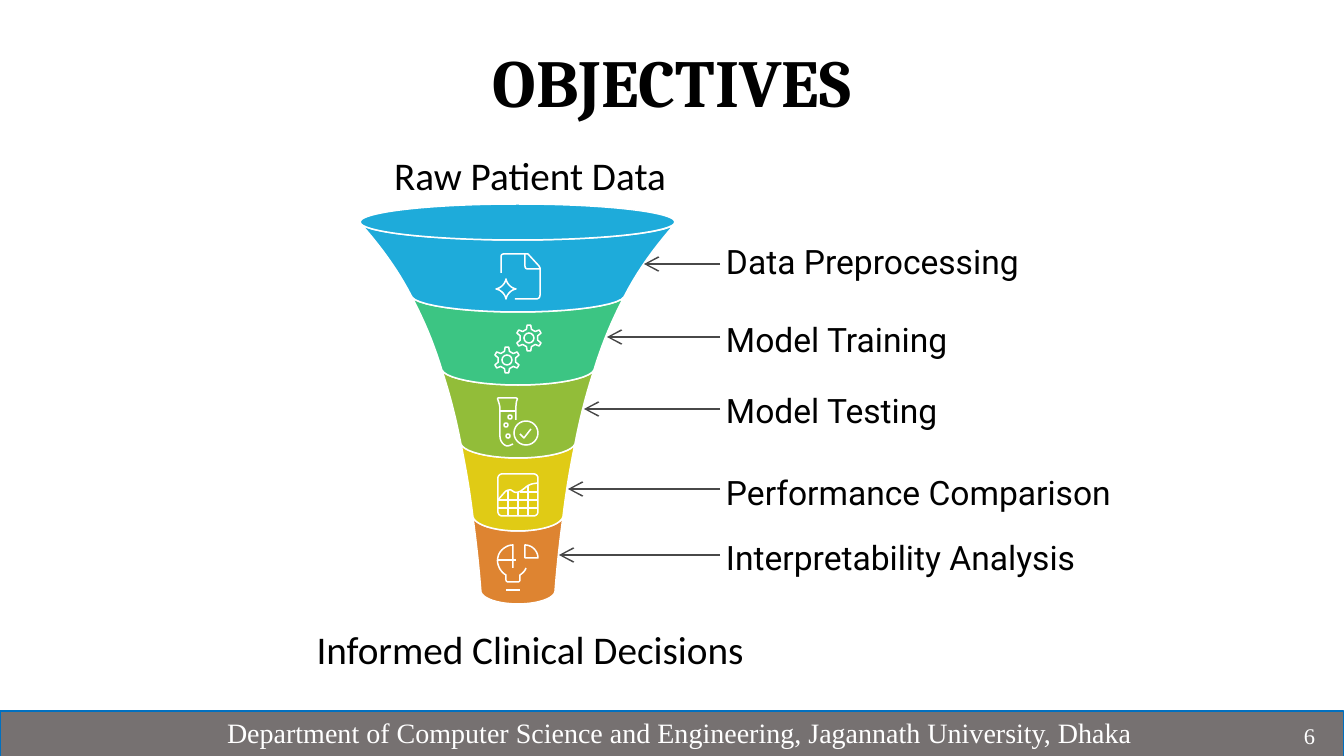
import math
from lxml import etree
from pptx import Presentation, util as u
from pptx.dml.color import RGBColor
from pptx.enum import shapes, text
from pptx.oxml import ns

PX = 9071  # EMU per px
WHITE, BLACK, ARROW, GREY, BORDER = "FFFFFF", "000000", "484848", "767171", "0070C0"

deck = Presentation()
deck.slide_width, deck.slide_height = 1344 * PX, 756 * PX
slide = deck.slides.add_slide(deck.slide_layouts[6])
canvas = slide.shapes


def paint(shape, fill=None, line=None, width=1.08):
    shape.shadow.inherit = False
    for part, color in ((shape.fill, fill), (shape.line.fill, line)):
        if color:
            part.solid()
            part.fore_color.rgb = RGBColor.from_string(color)
        else:
            part.background()
    if line:
        shape.line.width = u.Pt(width)


def trace(strokes, steps=10):
    """Strokes hold points (x, y) and cubic curves (x1, y1, x2, y2, x, y)."""
    builder = None
    for start, *segments in strokes:
        x, y = start
        if builder is None:
            builder = canvas.build_freeform(x * PX, y * PX)
        else:
            builder.move_to(x * PX, y * PX)
        points = []
        for segment in segments:
            if len(segment) == 6:
                x1, y1, x2, y2, x3, y3 = segment
                for step in range(1, steps + 1):
                    t = step / steps
                    a, b, c, d = (1 - t) ** 3, 3 * t * (1 - t) ** 2, 3 * t * t * (1 - t), t ** 3
                    points.append(((a * x + b * x1 + c * x2 + d * x3) * PX,
                                   (a * y + b * y1 + c * y2 + d * y3) * PX))
            else:
                points.append((segment[0] * PX, segment[1] * PX))
            x, y = segment[-2:]
        builder.add_line_segments(points, close=False)
    return builder.convert_to_shape()


# Funnel rings, from the bottom up; each rim is y, half width, depth
AXIS = 518
rims = [(224, 157, 16), (297, 106, 15), (370, 76, 15), (444, 57, 14), (517, 45, 14), (592, 37, 12)]
ring_colors = ["1EABDA", "3CC583", "92BD39", "E0CB15", "DE8431"]
for color, (top, wide, dip), (low, narrow, sag) in reversed(list(zip(ring_colors, rims, rims[1:]))):
    taper, height = wide - narrow, low - top
    right = [(0, top + dip), (.53 * wide, top + dip), (.95 * wide, top + .55 * dip), (wide, top),
             (wide - .38 * taper, top + .3 * height), (wide - .72 * taper, top + .62 * height),
             (narrow, low), (.95 * narrow, low + .55 * sag), (.53 * narrow, low + sag), (0, low + sag)]
    left = [(-x, y) for x, y in right[-2::-1]]
    outline = [(AXIS + x, y) for x, y in right + left]
    curves = [sum(outline[i:i + 3], ()) for i in range(1, len(outline), 3)]
    paint(trace([[outline[0], *curves]]), color, WHITE)
mouth = canvas.add_shape(shapes.MSO_SHAPE.OVAL, 360 * PX, 204 * PX, 315 * PX, 36 * PX)
paint(mouth, ring_colors[0], WHITE)

# Icons
document = [
    [(496, 289), (501, 288, 505, 284, 506, 279), (507, 284, 511, 288, 516, 289),
     (511, 290, 507, 294, 506, 299), (505, 294, 501, 290, 496, 289)],
    [(501, 273), (501, 257), (501, 255, 502, 254, 504, 254), (525, 254), (528, 254), (539, 266),
     (540, 268), (540, 295), (540, 298, 538, 299, 536, 299), (515, 299)],
    [(525, 254), (525, 266), (525, 268, 526, 269, 528, 269), (540, 269)],
]
gear_centers = [(507, 360), (529, 338)]
gears = []
for x, y in gear_centers:
    teeth = [(x + r * math.sin(math.radians(turn + offset)), y - r * math.cos(math.radians(turn + offset)))
             for turn in range(0, 360, 60)
             for r, offset in ((9, -16), (13, -8), (13, 8), (9, 16))]
    gears.append(teeth + teeth[:1])
test_tube = [
    [(520, 434), (524, 438), (531, 429)],
    [(513, 444), (511, 445, 509, 446, 507, 446), (503, 445, 500, 441, 500, 436), (500, 409),
     (500, 406, 499, 403, 498, 400), (497, 398, 498, 398, 499, 398), (516, 398),
     (517, 398, 518, 399, 517, 400), (516, 403, 516, 406, 516, 409), (516, 420)],
    [(516, 411), (500, 411)],
]
graph = [
    [(502, 474), (534, 474), (536, 474, 538, 476, 538, 478), (538, 512), (538, 514, 536, 516, 534, 516),
     (502, 516), (500, 516, 498, 514, 498, 512), (498, 478), (498, 476, 500, 474, 502, 474)],
    [(538, 483), (532, 484), (529, 485, 527, 486, 525, 488), (521, 491), (519, 492, 516, 493, 514, 492),
     (511, 490), (509, 490, 507, 490, 505, 492), (498, 500)],
    *[[(x, 516), (x, y)] for x, y in ((508, 490), (518, 492), (528, 486))],
    *[[(538, y), (x, y)] for x, y in ((520, 492), (498, 500), (498, 508))],
]
bulb = [
    [(506, 590), (520, 590)],
    [(526, 568), (525, 571, 523, 573, 520, 575), (520, 580), (520, 581, 519, 582, 518, 582), (508, 582),
     (507, 582, 506, 581, 506, 580), (506, 575), (500, 572, 496, 563, 498, 557),
     (499, 551, 506, 545, 513, 545), (513, 568)],
    [(525, 558), (525, 545), (532, 545, 538, 551, 538, 558), (525, 558)],
    [(516, 560), (497, 560)],
]
for icon in (document, gears, test_tube, graph, bulb):
    paint(trace(icon), line=WHITE)

# Gear hubs, check badge and bubbles
hubs = [(x, y, 5) for x, y in gear_centers]
for x, y, r in hubs + [(526, 433, 12), (506, 425, 2), (510, 417, 2), (508, 436, 2)]:
    circle = canvas.add_shape(shapes.MSO_SHAPE.OVAL, (x - r) * PX, (y - r) * PX, 2 * r * PX, 2 * r * PX)
    paint(circle, line=WHITE)

# Arrows to the rings
for tip, y in ((644, 264), (607, 337), (584, 409), (568, 489), (559, 555)):
    arrow = canvas.add_connector(shapes.MSO_CONNECTOR.STRAIGHT, 720 * PX, y * PX, tip * PX, y * PX)
    arrow.line.color.rgb = RGBColor.from_string(ARROW)
    arrow.line.width = u.Pt(1.08)
    properties = arrow._element.spPr
    etree.SubElement(properties.find(ns.qn("a:ln")), ns.qn("a:tailEnd"), type="arrow", w="lg", len="lg")
    etree.SubElement(properties, ns.qn("a:effectLst"))

# Title, step labels, and what goes in and comes out
LEFT, CENTER, RIGHT = text.PP_ALIGN.LEFT, text.PP_ALIGN.CENTER, text.PP_ALIGN.RIGHT
steps = [("Data Preprocessing", 241), ("Model Training", 319), ("Model Testing", 390),
         ("Performance Comparison", 472), ("Interpretability Analysis", 537)]
captions = [
    ("OBJECTIVES", 328, 35, 688, 92, 48, "Cambria", CENTER, False),
    ("Raw Patient Data", 367, 151, 326, 51, 28, "Calibri", CENTER, True),
    ("Informed Clinical Decisions", 306, 620, 448, 67, 28, "Calibri", CENTER, False),
    *[(name, 726, y, 420, 50, 24, "Roboto", LEFT, True) for name, y in steps],
]
for words, x, y, w, h, size, font, align, tight in captions:
    caption = canvas.add_textbox(x * PX, y * PX, w * PX, h * PX).text_frame
    caption.word_wrap = True
    if tight:
        caption.margin_left = caption.margin_right = caption.margin_top = caption.margin_bottom = 0
    line = caption.paragraphs[0]
    line.text, line.alignment = words, align
    line.font.size, line.font.name = u.Pt(size), font
    line.font.bold = words == "OBJECTIVES"
    line.font.color.rgb = RGBColor.from_string(BLACK)

# Footer bar and page number
department = "Department of Computer Science and Engineering, Jagannath University, Dhaka"
for words, x, y, w, h, size, align, anchor, indent, border in (
        (department, 0, 711, 1344, 46, 20, LEFT, text.MSO_ANCHOR.TOP, 227, BORDER),
        ("6", 1269, 716, 56, 40, 16, RIGHT, text.MSO_ANCHOR.MIDDLE, 10, None)):
    footer = canvas.add_shape(shapes.MSO_SHAPE.RECTANGLE, x * PX, y * PX, w * PX, h * PX)
    paint(footer, GREY, border, 0.75)
    footer.text_frame.margin_left = indent * PX
    footer.text_frame.vertical_anchor = anchor
    line = footer.text_frame.paragraphs[0]
    line.text, line.alignment = words, align
    line.font.size, line.font.name = u.Pt(size), "Times New Roman"
    line.font.color.rgb = RGBColor.from_string(WHITE)

deck.save("out.pptx")
